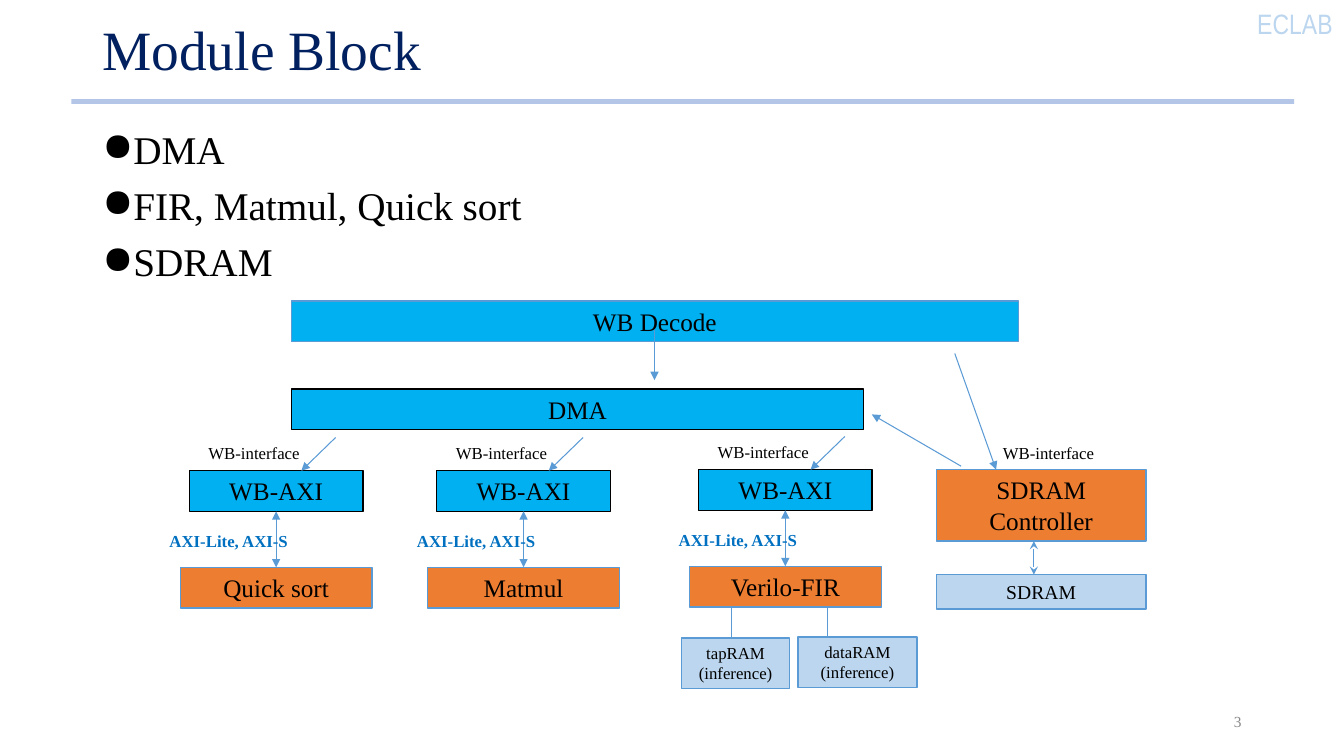
"""Build the Module Block slide with its bus and memory diagram."""
import lxml.etree
import pptx
import pptx.dml.color
import pptx.enum.shapes
import pptx.enum.text
import pptx.oxml.ns
import pptx.util

Pt = pptx.util.Pt
Color = pptx.dml.color.RGBColor
Align = pptx.enum.text.PP_ALIGN
Anchor = pptx.enum.text.MSO_ANCHOR
qn = pptx.oxml.ns.qn

BLACK = Color(0x00, 0x00, 0x00)
NAVY = Color(0x00, 0x20, 0x60)
CYAN = Color(0x00, 0xB0, 0xF0)
ORANGE = Color(0xED, 0x7D, 0x31)
PALE = Color(0xBB, 0xD6, 0xEE)
RULE = Color(0xB3, 0xC6, 0xE7)
EDGE = Color(0x5B, 0x9B, 0xD5)
LINK = Color(0x00, 0x70, 0xC0)
GRAY = Color(0x88, 0x88, 0x88)

TOPICS = ["DMA", "FIR, Matmul, Quick sort", "SDRAM"]
BLOCKS = [
    ("WB Decode", (208, 215, 519.5, 29), CYAN, EDGE, 18),
    ("DMA", (208, 278, 409, 29), CYAN, BLACK, 18),
    ("SDRAM Controller", (669, 335.5, 149.5, 51), ORANGE, EDGE, 18),
    ("SDRAM", (669, 410.5, 149.5, 24.5), PALE, EDGE, 14),
    ("tapRAM\n(inference)", (487, 455.75, 77, 36), PALE, EDGE, 12),
    ("dataRAM\n(inference)", (570, 455, 85, 36), PALE, EDGE, 12),
]
ENGINES = [("Quick sort", 135.25, 336.25), ("Matmul", 312, 336.25), ("Verilo-FIR", 499, 335.5)]
LINKS = [
    ((467.5, 235.5), (467.5, 271.5), None, "triangle"),
    ((682, 252.5), (711.5, 335.5), None, "triangle"),
    ((686.5, 333), (622.75, 296), None, "triangle"),
    ((738.5, 386.5), (738.5, 410.5), "stealth", "stealth"),
    ((522.5, 433.5), (522.5, 455.75), None, None),
    ((591, 433.5), (591, 455), None, None),
]
ADAPTER_SIZE = (124, 29)
CORE_SIZE = (137, 29)
CORE_DROP = 69
LABEL_SIZE = (108, 22)

deck = pptx.Presentation()
deck.slide_width, deck.slide_height = Pt(960), Pt(540)
page = deck.slides.add_slide(deck.slide_layouts[6])


def add_text(text, frame, size, color=BLACK, fill=None, edge=None, font="Times New Roman",
             align=Align.LEFT, anchor=Anchor.TOP, bold=False, spacing=None, before=0, bullet=None):
    place = [Pt(value) for value in frame]
    if fill is None:
        box = page.shapes.add_textbox(*place)
    else:
        box = page.shapes.add_shape(pptx.enum.shapes.MSO_SHAPE.RECTANGLE, *place)
        box.shadow.inherit = False
        box.fill.solid()
        box.fill.fore_color.rgb = fill
        if edge is None:
            box.line.fill.background()
        else:
            box.line.color.rgb = edge
            box.line.width = Pt(1)
    body = box.text_frame
    body.word_wrap = True
    body.vertical_anchor = anchor
    for index, content in enumerate(text.split("\n") if text else []):
        para = body.add_paragraph() if index else body.paragraphs[0]
        if bullet:
            props = para._p.get_or_add_pPr()
            props.set("marL", str(Pt(18)))
            props.set("indent", str(-Pt(18)))
            tint = lxml.etree.SubElement(props, qn("a:buClr"))
            lxml.etree.SubElement(tint, qn("a:srgbClr"), val=str(color))
            lxml.etree.SubElement(props, qn("a:buChar"), char=bullet)
        para.alignment = align
        if spacing:
            para.line_spacing = spacing
        if index and before:
            para.space_before = Pt(before)
        span = para.add_run()
        span.text = content
        span.font.name = font
        span.font.size = Pt(size)
        span.font.bold = bold
        span.font.color.rgb = color
    return box


def add_link(start, end, head=None, tail=None):
    points = [Pt(value) for value in (*start, *end)]
    link = page.shapes.add_connector(pptx.enum.shapes.MSO_CONNECTOR.STRAIGHT, *points)
    link.line.color.rgb = EDGE
    link.line.width = Pt(0.75)
    stroke = link.line._get_or_add_ln()
    for tag, kind in (("a:headEnd", head), ("a:tailEnd", tail)):
        if kind:
            lxml.etree.SubElement(stroke, qn(tag), type=kind)
    lxml.etree.SubElement(link._element.spPr, qn("a:effectLst"))
    return link


def add_bus_label(left, top):
    add_text("WB-interface", (left, top, 96.5, 22), 12)


def add_engine(name, left, top):
    width, height = ADAPTER_SIZE
    middle = left + width / 2
    core_left, core_top = middle - CORE_SIZE[0] / 2, top + CORE_DROP
    adapter = add_text("WB-AXI", (left, top, *ADAPTER_SIZE), 18,
                       fill=CYAN, edge=BLACK, align=Align.CENTER)
    core = add_text(name, (core_left, core_top, *CORE_SIZE), 18,
                    fill=ORANGE, edge=EDGE, align=Align.CENTER)
    add_link((left + 104.5, top - 23.75), (left + 80, top), tail="triangle")
    add_bus_label(left + 6.5, top - 23.25)
    link = add_link((middle, top + height), (middle, core_top), "triangle", "triangle")
    link.begin_connect(adapter, 2)
    link.end_connect(core, 0)
    add_text("AXI-Lite, AXI-S", (left - 21.25, top + 39, *LABEL_SIZE), 12, LINK, bold=True)


add_text("", (51, 70.75, 873.5, 3.5), 12, fill=RULE)
add_text("ECLAB", (820, 0.75, 139, 31.5), 20, PALE, font="Arial Narrow", align=Align.RIGHT)
add_text("Module Block", (66, 16.5, 828, 42), 39.6, NAVY, anchor=Anchor.MIDDLE, spacing=0.9)
add_text("\n".join(TOPICS), (66, 89.5, 828, 152.5), 28, spacing=0.9, before=10, bullet="●")
for label, frame, fill, edge, size in BLOCKS:
    add_text(label, frame, size, fill=fill, edge=edge, align=Align.CENTER)
for engine in ENGINES:
    add_engine(*engine)
for link_ends in LINKS:
    add_link(*link_ends)
add_bus_label(709.25, 312.5)
add_text("3", (678, 500.5, 216, 29), 11, GRAY, align=Align.RIGHT, anchor=Anchor.MIDDLE)

deck.save("out.pptx")
